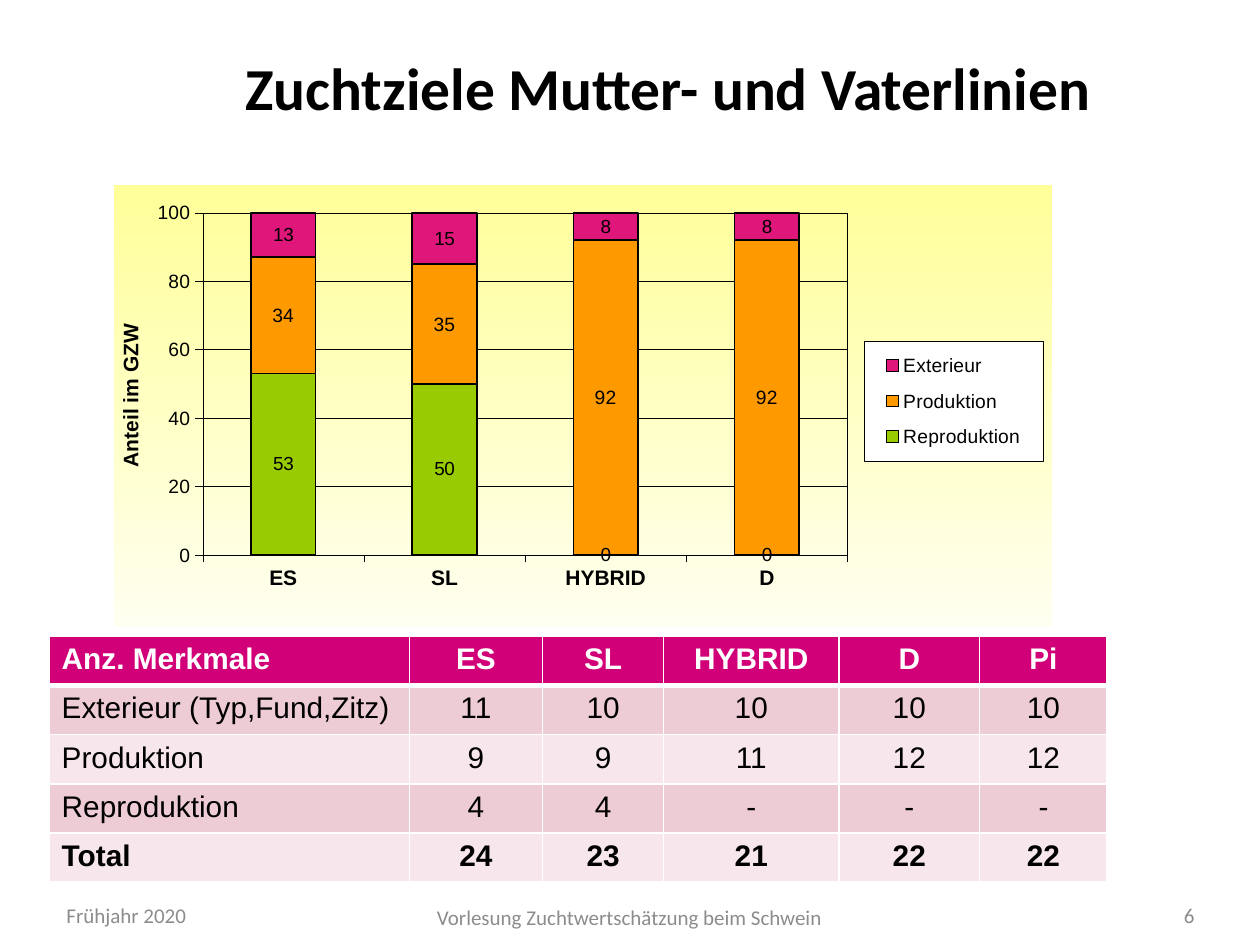
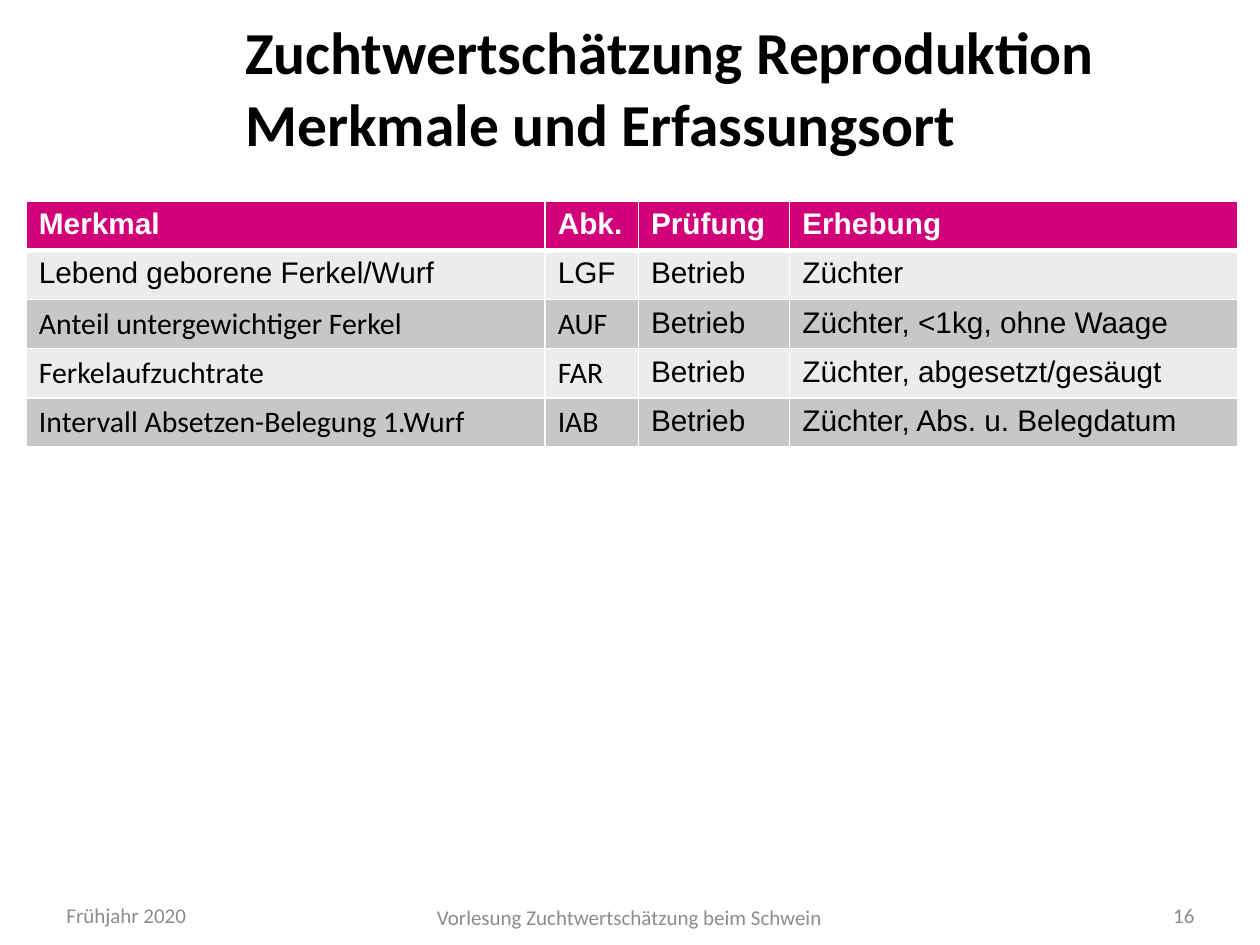
from pptx import Presentation
from pptx.chart.data import CategoryChartData as ChartData
from pptx.dml.color import RGBColor as RGB
from pptx.enum.chart import XL_CHART_TYPE as Kind, XL_LEGEND_POSITION as Spot
from pptx.enum.chart import XL_TICK_MARK as Tick
from pptx.enum.text import MSO_ANCHOR as Anchor, PP_ALIGN as Align
from pptx.oxml import parse_xml
from pptx.oxml.ns import nsdecls
from pptx.util import Cm, Pt

HEX = {
    "black": "000000", "white": "FFFFFF", "grey": "8C8C8C", "head": "D20078",
    "rose": "EECCD6", "pale": "F7E7EC", "light": "ECECEC", "dark": "C7C7C7",
    "green": "99CC00", "orange": "FF9900", "pink": "DF177B",
    "top": "FFFF99", "foot": "FFFFEF",
}
SANS, BODY = "Arial", "Calibri"
DATE, COURSE = "Frühjahr 2020", "Vorlesung Zuchtwertschätzung beim Schwein"
ROW = 0.99

GOALS = {
    "title": ["Zuchtziele Mutter- und Vaterlinien"],
    "page": "6",
    "at": (0.99, 12.83),
    "cols": [7.26, 2.69, 2.44, 3.53, 2.84, 2.57],
    "bands": ("rose", "pale"),
    "rows": [
        ["Anz. Merkmale", "ES", "SL", "HYBRID", "D", "Pi"],
        ["Exterieur (Typ,Fund,Zitz)", "11", "10", "10", "10", "10"],
        ["Produktion", "9", "9", "11", "12", "12"],
        ["Reproduktion", "4", "4", "-", "-", "-"],
        ["Total", "24", "23", "21", "22", "22"],
    ],
}
TRAITS = {
    "title": ["Zuchtwertschätzung Reproduktion", "Merkmale und Erfassungsort"],
    "page": "16",
    "at": (0.53, 4.06),
    "cols": [10.46, 1.88, 3.05, 9.04],
    "bands": ("light", "dark"),
    "rows": [
        ["Merkmal", "Abk.", "Prüfung", "Erhebung"],
        ["Lebend geborene Ferkel/Wurf", "LGF", "Betrieb", "Züchter"],
        ["Anteil untergewichtiger Ferkel", "AUF", "Betrieb", "Züchter, <1kg, ohne Waage"],
        ["Ferkelaufzuchtrate", "FAR", "Betrieb", "Züchter, abgesetzt/gesäugt"],
        ["Intervall Absetzen-Belegung 1.Wurf", "IAB", "Betrieb", "Züchter, Abs. u. Belegdatum"],
    ],
}
LINES = ["ES", "SL", "HYBRID", "D"]
SHARES = [
    ("Reproduktion", (53, 50, 0, 0), "green", 10.8),
    ("Produktion", (34, 35, 92, 92), "orange", 11),
    ("Exterieur", (13, 15, 8, 8), "pink", 10.8),
]


def rgb(name):
    return RGB.from_string(HEX[name])


def style(font, size, face=SANS, color="black", bold=False):
    font.size, font.name, font.bold = Pt(size), face, bold
    font.color.rgb = rgb(color)


def edge(line, width):
    line.color.rgb = rgb("black")
    line.width = Pt(width)


def add_text(slide, box, lines, align=Align.LEFT, **look):
    frame = slide.shapes.add_textbox(*map(Cm, box)).text_frame
    frame.word_wrap, frame.vertical_anchor = True, Anchor.MIDDLE
    para = frame.paragraphs[0]
    para.alignment = align
    for i, line in enumerate(lines):
        if i:
            para.add_line_break()
        run = para.add_run()
        run.text = line
        style(run.font, **look)


def add_page(deck, data):
    """Add a slide with the shared title and footers."""
    slide = deck.slides.add_slide(deck.slide_layouts[6])
    add_text(slide, (4.7, 0, 18, 3.5), data["title"], size=34, face=BODY, bold=True)
    for box, text, align in (
        ((1.09, 17.93, 3, 1.02), DATE, Align.LEFT),
        ((4.19, 17.98, 17, 1.02), COURSE, Align.CENTER),
        ((22.5, 17.93, 1.83, 1.02), data["page"], Align.RIGHT),
    ):
        add_text(slide, box, [text], align, size=12, face=BODY, color="grey")
    return slide


def set_edges(cell, row):
    """Draw white borders, thick between the header and the first row."""
    props = cell._tc.get_or_add_tcPr()
    for i, side in enumerate("LRTB"):
        width = Pt(3 if (row, side) in ((0, "B"), (1, "T")) else 1)
        props.insert(i, parse_xml(
            f'<a:ln{side} {nsdecls("a")} w="{width}"><a:solidFill>'
            f'<a:srgbClr val="{HEX["white"]}"/></a:solidFill></a:ln{side}>'))


def add_grid(slide, data, align, face, bold):
    rows, cols = data["rows"], data["cols"]
    size = (sum(cols), ROW * len(rows))
    table = slide.shapes.add_table(len(rows), len(cols), *map(Cm, data["at"] + size)).table
    for col, width in zip(table.columns, cols):
        col.width = Cm(width)
    for r, row in enumerate(rows):
        table.rows[r].height = Cm(ROW)
        for c, text in enumerate(row):
            cell = table.cell(r, c)
            cell.fill.solid()
            cell.fill.fore_color.rgb = rgb(data["bands"][(r - 1) % 2] if r else "head")
            set_edges(cell, r)
            para = cell.text_frame.paragraphs[0]
            para.alignment = align(c)
            run = para.add_run()
            run.text = text
            style(run.font, 17, face(r, c), "black" if r else "white", r == 0 or bold(r))


def layout(x, y, w, h, inner=False):
    target = '<c:layoutTarget val="inner"/>' if inner else ""
    parts = "".join(f'<c:{k} val="{v}"/>' for k, v in
                    (("xMode", "edge"), ("yMode", "edge"), ("x", x), ("y", y), ("w", w), ("h", h)))
    return parse_xml(f'<c:layout {nsdecls("c")}><c:manualLayout>{target}{parts}'
                     '</c:manualLayout></c:layout>')


def paint(fill, line):
    return parse_xml(f'<c:spPr {nsdecls("c", "a")}>{fill}<a:ln w="{Pt(0.25)}">{line}</a:ln></c:spPr>')


def solid(name):
    return f'<a:solidFill><a:srgbClr val="{HEX[name]}"/></a:solidFill>'


def frame_chart(chart):
    """Place plot and legend, and paint the backgrounds."""
    none = "<a:noFill/>"
    stops = "".join(f'<a:gs pos="{pos}"><a:srgbClr val="{HEX[name]}"/></a:gs>'
                    for pos, name in ((0, "top"), (100000, "foot")))
    fade = f'<a:gradFill><a:gsLst>{stops}</a:gsLst><a:lin ang="5400000" scaled="0"/></a:gradFill>'
    root = chart._chartSpace.chart
    root.addnext(paint(fade, none))
    plot = root.plotArea
    for old in plot.findall("{*}layout"):
        plot.remove(old)
    plot.insert(0, layout(0.095, 0.063, 0.687, 0.776, inner=True))
    plot.append(paint(none, solid("black")))
    legend = chart.legend._element
    legend.find("{*}legendPos").addnext(layout(0.8, 0.354, 0.19, 0.272))
    legend.find("{*}overlay").addnext(paint(solid("white"), solid("black")))


def add_bars(slide):
    data = ChartData(number_format="0")
    data.categories = LINES
    for name, vals, *_ in SHARES:
        data.add_series(name, vals)
    box = map(Cm, (2.29, 3.73, 18.92, 8.89))
    chart = slide.shapes.add_chart(Kind.COLUMN_STACKED, *box, data).chart
    chart.has_title = False
    style(chart.font, 10.8)
    plot = chart.plots[0]
    plot.gap_width, plot.overlap, plot.vary_by_categories = 150, 100, False
    for series, (_, _, color, size) in zip(plot.series, SHARES):
        series.format.fill.solid()
        series.format.fill.fore_color.rgb = rgb(color)
        edge(series.format.line, 1)
        labels = series.data_labels
        labels.show_value = True
        labels.number_format, labels.number_format_is_linked = "0", False
        style(labels.font, size)
    cats, vals = chart.category_axis, chart.value_axis
    for axis, size, bold in ((cats, 12, True), (vals, 11, False)):
        axis.major_tick_mark, axis.minor_tick_mark = Tick.OUTSIDE, Tick.NONE
        style(axis.tick_labels.font, size, bold=bold)
        edge(axis.format.line, 0.25)
    vals.minimum_scale, vals.maximum_scale, vals.major_unit = 0, 100, 20
    vals.tick_labels.number_format = "0"
    vals.tick_labels.number_format_is_linked = False
    edge(vals.major_gridlines.format.line, 0.25)
    run = vals.axis_title.text_frame.paragraphs[0].add_run()
    run.text = "Anteil im GZW"
    style(run.font, 12, bold=True)
    chart.has_legend = True
    chart.legend.position = Spot.RIGHT
    chart.legend.include_in_layout = False
    style(chart.legend.font, 11)
    frame_chart(chart)


def main():
    deck = Presentation()
    deck.slide_width, deck.slide_height = Cm(25.4), Cm(19.05)
    goals = add_page(deck, GOALS)
    add_grid(goals, GOALS, align=lambda c: Align.CENTER if c else Align.LEFT,
             face=lambda r, c: SANS, bold=lambda r: r == 4)
    add_bars(goals)
    traits = add_page(deck, TRAITS)
    add_grid(traits, TRAITS, align=lambda c: Align.LEFT,
             face=lambda r, c: BODY if r > 1 and c < 2 else SANS, bold=lambda r: False)
    deck.save("out.pptx")


if __name__ == "__main__":
    main()
